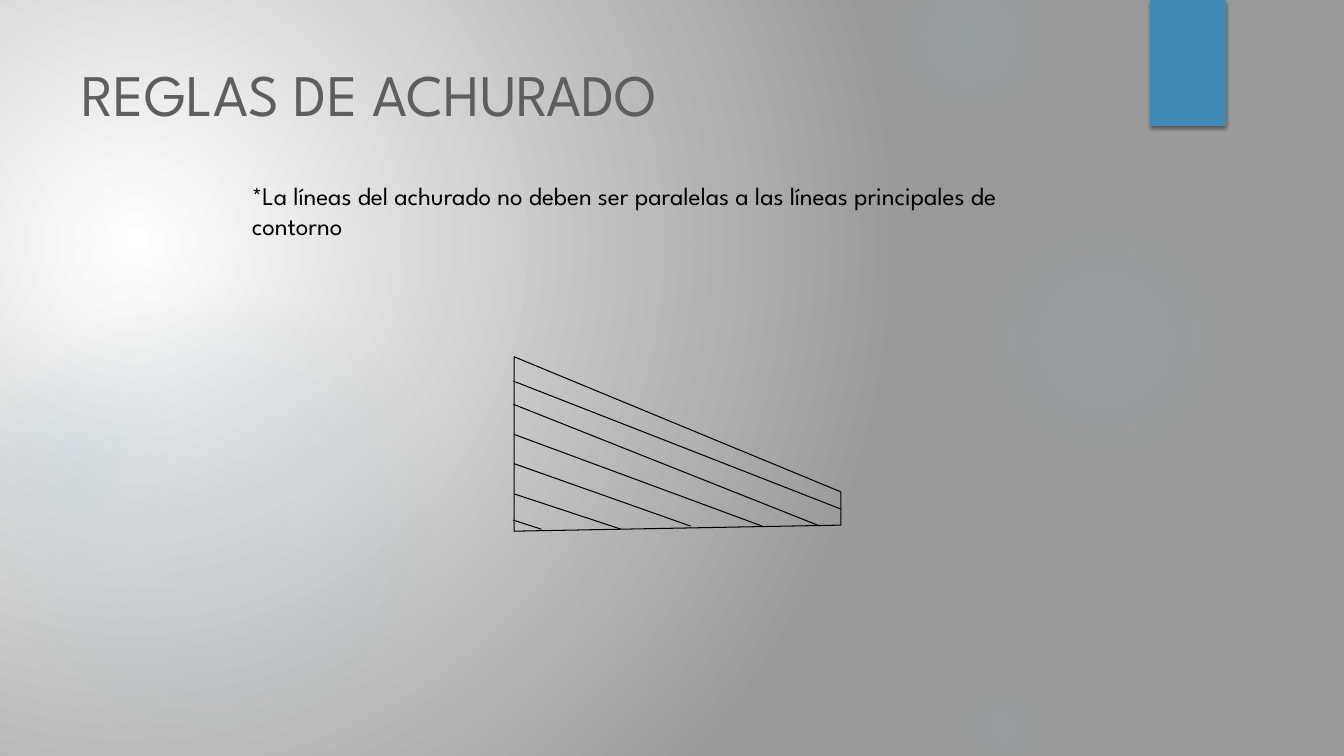
from lxml.etree import SubElement
from pptx import Presentation
from pptx.dml.color import RGBColor
from pptx.enum.shapes import MSO_CONNECTOR, MSO_SHAPE
from pptx.enum.text import MSO_ANCHOR, PP_ALIGN
from pptx.oxml import parse_xml
from pptx.oxml.ns import nsdecls, qn
from pptx.util import Inches, Pt

BLACK = RGBColor(0x00, 0x00, 0x00)
GRAY = RGBColor(0x5E, 0x5E, 0x5E)
WHITE = RGBColor(0xFF, 0xFF, 0xFF)
BACKDROP = RGBColor(0x9A, 0x9A, 0x9A)
BLUE = RGBColor(0x41, 0x8A, 0xB3)
GLOW = RGBColor(0x8A, 0xBA, 0xD4)
PALE = RGBColor(0xEB, 0xEB, 0xEB)
FONT = "League Spartan"
CELL = Inches(0.01)  # the slide is a grid of 1333 columns by 750 rows


def set_radial_gradient(fill, owner, stops, focus):
    """Fill with (position, colour, opacity) stops around a focus, all in percent."""
    fill.gradient()
    gradient = next(owner.iter(qn("a:gradFill")))
    stop_xml = "".join(
        f'<a:gs pos="{position * 1000}"><a:srgbClr val="{color}">'
        f'<a:alpha val="{opacity * 1000}"/></a:srgbClr></a:gs>'
        for position, color, opacity in stops)
    left, top, right, bottom = (share * 1000 for share in focus)
    gradient.getparent().replace(gradient, parse_xml(
        f'<a:gradFill {nsdecls("a")} rotWithShape="1"><a:gsLst>{stop_xml}</a:gsLst>'
        f'<a:path path="circle"><a:fillToRect l="{left}" t="{top}" r="{right}" '
        f'b="{bottom}"/></a:path></a:gradFill>'))


def add_text(text, column, row, columns, rows, size, color):
    box = page.shapes.add_textbox(column * CELL, row * CELL, columns * CELL, rows * CELL)
    frame = box.text_frame
    frame.word_wrap = True
    frame.vertical_anchor = MSO_ANCHOR.TOP
    para = frame.paragraphs[0]
    para.text = text
    para.alignment = PP_ALIGN.LEFT
    para.font.name = FONT
    para.font.size = Pt(size)
    para.font.color.rgb = color


deck = Presentation()
deck.slide_width = 1333 * CELL
deck.slide_height = 750 * CELL
page = deck.slides.add_slide(deck.slide_layouts[6])
set_radial_gradient(page.background.fill, page.element,
                    [(0, WHITE, 100), (100, BACKDROP, 100)], (45, 65, 125, 100))

# Soft bubbles: column, row, diameter, gradient stops
bubbles = [
    (-17, 292, 458, [(0, GLOW, 11), (36, GLOW, 10), (75, GLOW, 0)]),
    (-92, 317, 258, [(0, GLOW, 8), (36, GLOW, 5), (71, PALE, 0)]),
    (941, 183, 308, [(0, GLOW, 7), (36, GLOW, 6), (69, GLOW, 0)]),
    (875, -50, 175, [(0, GLOW, 14), (36, GLOW, 7), (73, GLOW, 0)]),
    (941, 667, 108, [(0, GLOW, 10), (31, GLOW, 5), (66, GLOW, 0)]),
]
for column, row, diameter, stops in bubbles:
    bubble = page.shapes.add_shape(MSO_SHAPE.OVAL, column * CELL, row * CELL,
                                   diameter * CELL, diameter * CELL)
    bubble.shadow.inherit = False
    bubble.line.fill.background()
    set_radial_gradient(bubble.fill, bubble.element, stops, (50, 50, 50, 50))

# Blue tab with a shadow below it
tab = page.shapes.add_shape(MSO_SHAPE.RECTANGLE, 1141 * CELL, 0, 75 * CELL, 125 * CELL)
tab.fill.solid()
tab.fill.fore_color.rgb = BLUE
tab.line.fill.background()
tab.shadow.inherit = False
tab.element.spPr.find(qn("a:effectLst")).append(parse_xml(
    f'<a:outerShdw {nsdecls("a")} blurRad="{Pt(3)}" dist="{Pt(2)}" dir="5400000" '
    f'rotWithShape="0"><a:srgbClr val="{BLACK}"><a:alpha val="45000"/></a:srgbClr>'
    '</a:outerShdw>'))

add_text("*La líneas del achurado no deben ser paralelas a las líneas principales de contorno",
         240, 174, 799, 115, 18, BLACK)

# Hatched outline
builder = page.shapes.build_freeform(510, 527, scale=CELL)
builder.add_line_segments([(510, 354), (834, 488), (834, 521)], close=True)
outline = builder.convert_to_shape()
outline.shadow.inherit = False
outline.fill.background()
outline.line.color.rgb = BLACK
outline.line.width = Pt(0.75)

hatching = [
    (509, 378, 834, 505),
    (509, 401, 811, 521),
    (510, 431, 756, 522),
    (510, 460, 685, 522),
    (510, 490, 616, 525),
    (509, 516, 537, 525),
]
for ends in hatching:
    hatch = page.shapes.add_connector(MSO_CONNECTOR.STRAIGHT, *(end * CELL for end in ends))
    hatch.line.color.rgb = BLACK
    hatch.line.width = Pt(0.75)
    SubElement(hatch.element.spPr, qn("a:effectLst"))

add_text("REGLAS DE ACHURADO", 71, 52, 1029, 151, 42, GRAY)

deck.save("out.pptx")
